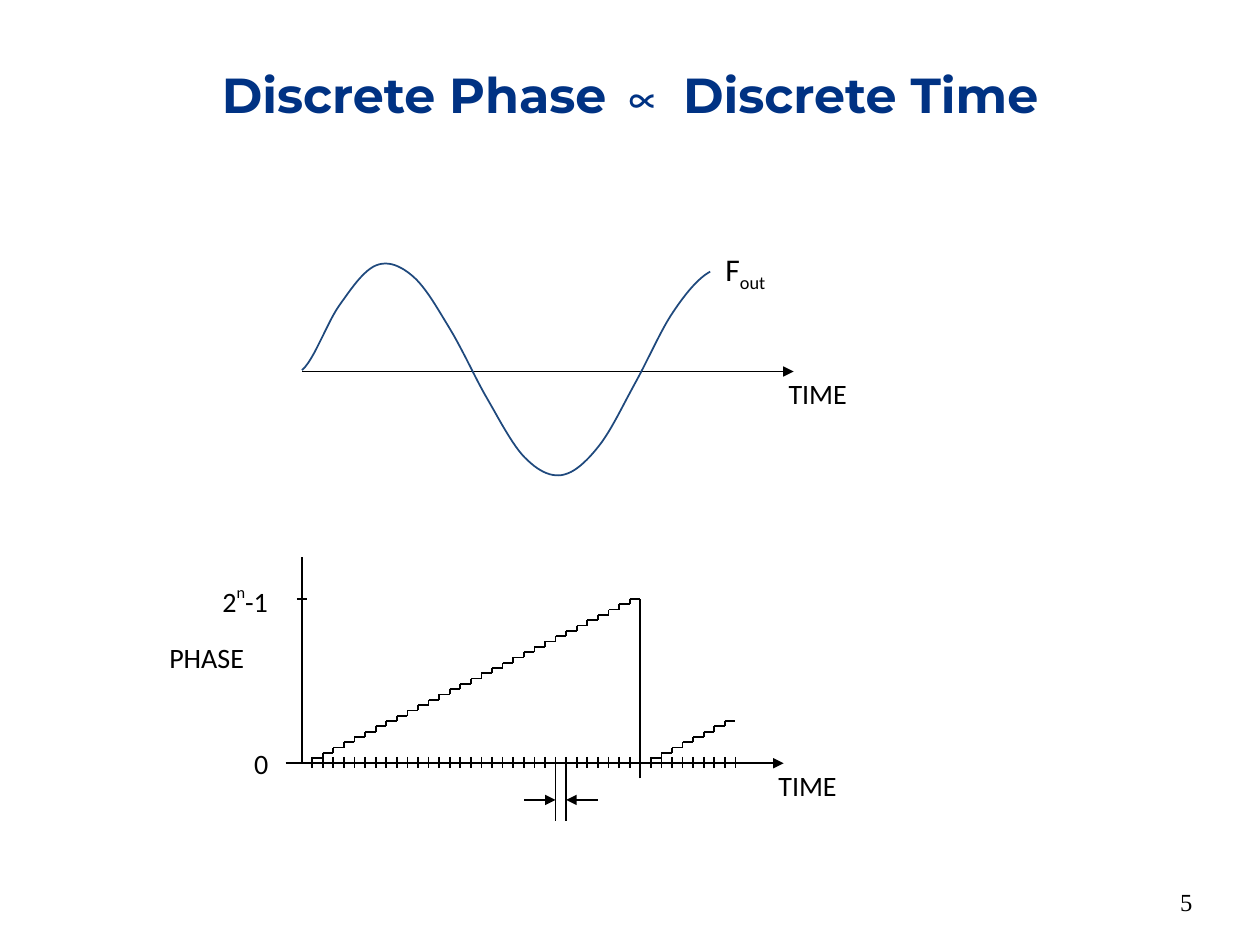
from dataclasses import dataclass

from lxml import etree
from pptx import Presentation
from pptx.dml.color import RGBColor
from pptx.enum.shapes import MSO_CONNECTOR
from pptx.enum.text import PP_ALIGN
from pptx.oxml.ns import qn
from pptx.slide import Slide
from pptx.util import Emu, Pt

STRAIGHT = MSO_CONNECTOR.STRAIGHT
LEFT, CENTER = PP_ALIGN.LEFT, PP_ALIGN.CENTER

BLACK = RGBColor(0x00, 0x00, 0x00)
NAVY = RGBColor(0x00, 0x32, 0x83)
WAVE_BLUE = RGBColor(0x1F, 0x49, 0x7D)

EMU_PER_PX = 9144
LINE_WIDTH = Pt(1)

ORIGIN_X = 239
PHASE_ZERO_Y = 604
FULL_SCALE_Y = 474
TICK_LEFT, TICK_RIGHT, TICK_STEPS = 247, 582, 40
TICK_TOP, TICK_BOTTOM, GUIDE_BOTTOM = 599, 608, 650
GUIDE_TICKS = (23, 24)
STAIR_BOTTOM = 600
FULL_STEPS = 30
RESET_TICK = 31

WAVE_RIGHT = 562
WAVE_KNOTS = (293, 242, 210, 219, 261, 316, 362, 376, 353, 302, 247, 215)
SAMPLES_PER_SPAN = 12


@dataclass(frozen=True)
class Span:
    text: str
    font: str = "Calibri"
    baseline: int = 0


@dataclass(frozen=True)
class Label:
    left: int
    top: int
    width: int
    height: int
    spans: tuple[Span, ...]
    size: int = 16
    color: RGBColor = BLACK
    bold: bool = False
    align: PP_ALIGN = LEFT
    wrap: bool = True
    inset: tuple[int, int] = (0, 0)


@dataclass(frozen=True)
class Line:
    x1: float
    y1: float
    x2: float
    y2: float
    arrow: bool = False


@dataclass(frozen=True)
class Staircase:
    first_tick: int
    treads: int


LABELS = (
    Label(924, 697, 50, 50, (Span("5", "Times New Roman"),), size=14, inset=(10, 5)),
    Label(124, 51, 749, 47,
          (Span("Discrete Phase ", "Montserrat"), Span("∝", "Arial"),
           Span(" Discrete Time", "Montserrat")),
          size=28, color=NAVY, bold=True, align=CENTER),
    Label(134, 507, 60, 27, (Span("PHASE"),), wrap=False),
    Label(624, 298, 47, 27, (Span("TIME"),), wrap=False),
    Label(616, 608, 47, 27, (Span("TIME"),), wrap=False),
    Label(176, 461, 63, 27, (Span("2"), Span("n", baseline=50000), Span("-1"))),
    Label(201, 591, 38, 27, (Span("0"),)),
    Label(574, 198, 63, 30, (Span("F"), Span("out", baseline=-25000)), size=18),
)

STAIRCASES = (Staircase(0, RESET_TICK), Staircase(RESET_TICK + 1, 8))


def px(length: float) -> Emu:
    return Emu(round(length * EMU_PER_PX))


def tick_x(index: int) -> float:
    return TICK_LEFT + (TICK_RIGHT - TICK_LEFT) * index / TICK_STEPS


def stair_y(step: int) -> float:
    return STAIR_BOTTOM - (STAIR_BOTTOM - FULL_SCALE_Y) * step / FULL_STEPS


AXES = (
    Line(226, PHASE_ZERO_Y, 620, PHASE_ZERO_Y, arrow=True),
    Line(ORIGIN_X, 294, 628, 294, arrow=True),
    Line(ORIGIN_X, PHASE_ZERO_Y, ORIGIN_X, 441),
    Line(235, FULL_SCALE_Y, 243, FULL_SCALE_Y),
    Line(tick_x(RESET_TICK), 616, tick_x(RESET_TICK), FULL_SCALE_Y),
    Line(415, 633, tick_x(GUIDE_TICKS[0]), 633, arrow=True),
    Line(473, 633, tick_x(GUIDE_TICKS[1]), 633, arrow=True),
)


def tick_lines() -> list[Line]:
    return [
        Line(tick_x(index), TICK_TOP, tick_x(index),
             GUIDE_BOTTOM if index in GUIDE_TICKS else TICK_BOTTOM)
        for index in range(TICK_STEPS + 1)
    ]


def stair_lines(stairs: Staircase) -> list[Line]:
    lines = []
    for step in range(stairs.treads):
        x = tick_x(stairs.first_tick + step)
        y = stair_y(step)
        if step:
            lines.append(Line(x, stair_y(step - 1), x, y))
        lines.append(Line(x, y, tick_x(stairs.first_tick + step + 1), y))
    return lines


def wave_points() -> list[tuple[Emu, Emu]]:
    spans = len(WAVE_KNOTS) - 1
    padded = (WAVE_KNOTS[0], *WAVE_KNOTS, WAVE_KNOTS[-1])
    points = [(px(ORIGIN_X), px(WAVE_KNOTS[0]))]
    for index in range(spans):
        before, start, end, after = padded[index:index + 4]
        for sample in range(1, SAMPLES_PER_SPAN + 1):
            t = sample / SAMPLES_PER_SPAN
            y = start + t / 2 * (
                end - before
                + t * (2 * before - 5 * start + 4 * end - after)
                + t * t * (3 * start - before - 3 * end + after)
            )
            x = ORIGIN_X + (WAVE_RIGHT - ORIGIN_X) * (index + t) / spans
            points.append((px(x), px(y)))
    return points


def draw_line(page: Slide, line: Line) -> None:
    connector = page.shapes.add_connector(
        STRAIGHT, px(line.x1), px(line.y1), px(line.x2), px(line.y2))
    connector.line.color.rgb = BLACK
    connector.line.width = LINE_WIDTH
    outline = connector.get_or_add_ln()
    if line.arrow:
        etree.SubElement(outline, qn("a:tailEnd"), type="triangle")
    etree.SubElement(outline.getparent(), qn("a:effectLst"))


def draw_wave(page: Slide) -> None:
    start, *rest = wave_points()
    builder = page.shapes.build_freeform(*start)
    builder.add_line_segments(rest, close=False)
    wave = builder.convert_to_shape()
    wave.shadow.inherit = False
    wave.fill.background()
    wave.line.color.rgb = WAVE_BLUE
    wave.line.width = LINE_WIDTH


def draw_label(page: Slide, label: Label) -> None:
    box = page.shapes.add_textbox(
        px(label.left), px(label.top), px(label.width), px(label.height))
    frame = box.text_frame
    side, edge = map(px, label.inset)
    layout = {"word_wrap": label.wrap, "margin_left": side, "margin_right": side,
              "margin_top": edge, "margin_bottom": edge}
    for name, value in layout.items():
        setattr(frame, name, value)
    para = frame.paragraphs[0]
    para.alignment = label.align
    for span in label.spans:
        run = para.add_run()
        run.text = span.text
        formats = {"name": span.font, "size": Pt(label.size), "bold": label.bold}
        for name, value in formats.items():
            setattr(run.font, name, value)
        run.font.color.rgb = label.color
        if span.baseline:
            run._r.get_or_add_rPr().set("baseline", str(span.baseline))


def main() -> None:
    deck = Presentation()
    deck.slide_width, deck.slide_height = px(997), px(747)
    page = deck.slides.add_slide(deck.slide_layouts[6])
    lines = [*AXES, *tick_lines()]
    for stairs in STAIRCASES:
        lines.extend(stair_lines(stairs))
    for line in lines:
        draw_line(page, line)
    draw_wave(page)
    for label in LABELS:
        draw_label(page, label)
    deck.save("out.pptx")


if __name__ == "__main__":
    main()
